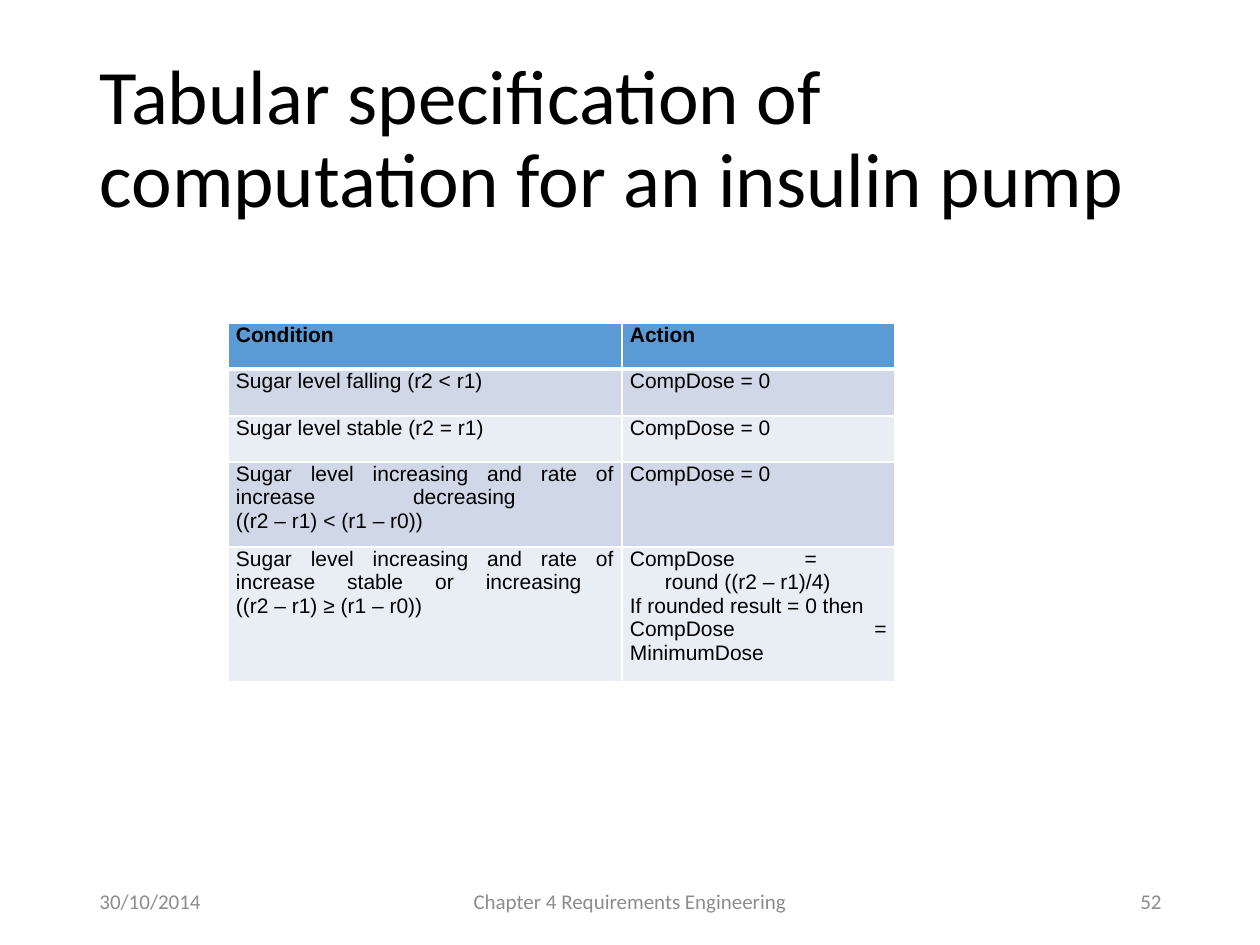
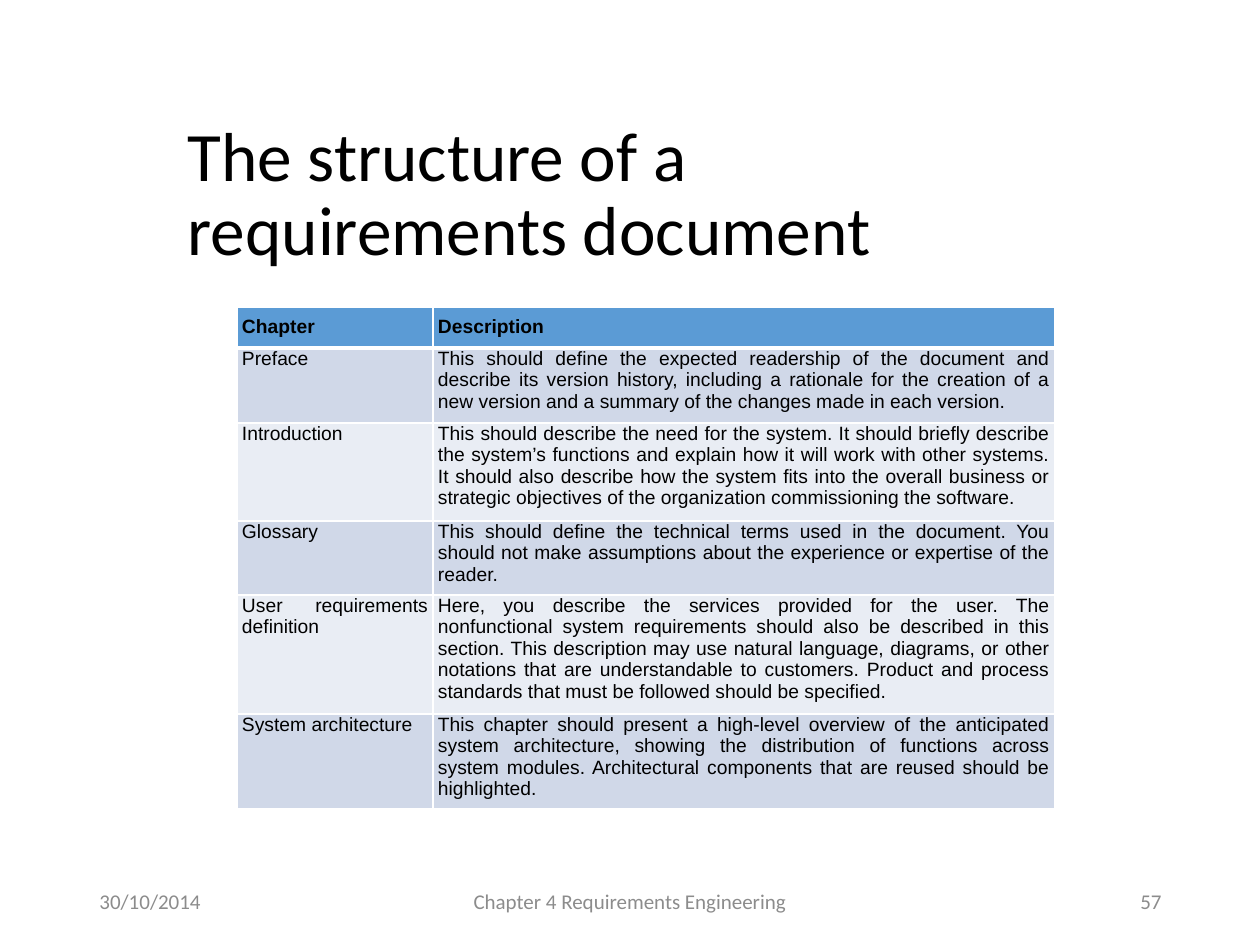
"""Build two lecture slides, each with a title, a banded table and a footer."""
from dataclasses import dataclass

from lxml import etree
from pptx import Presentation
from pptx import util as u
from pptx.dml.color import RGBColor
from pptx.enum import text
from pptx.oxml.ns import qn

PIXEL = u.Inches(1) / 126
TITLE_ONLY = 5
ALIGN = text.PP_ALIGN


@dataclass(frozen=True)
class Theme:
    """Colours, fonts and type sizes shared by the slides."""
    ink: str = "000000"
    muted: str = "8C8C8C"
    header: str = "5B9BD5"
    bands: tuple = ("D0D8E8", "E9EDF4")
    border: str = "FFFFFF"
    thin: float = 1
    thick: float = 3
    text_font: str = "Calibri"
    table_font: str = "Arial"
    footer_size: float = 12


THEME = Theme()


@dataclass(frozen=True)
class TableStyle:
    """Type size and cell insets, in pixels, of one table."""
    size: float
    side: int
    header_top: int
    bottom: int = 9


@dataclass(frozen=True)
class Hanging:
    """Paragraph whose lines after the first are indented, in pixels."""
    words: str
    indent: int


DOSE_HEADER = ("Condition", "Action")
DOSE_ROWS = [
    ("Sugar level falling (r2 < r1)", "CompDose = 0"),
    ("Sugar level stable (r2 = r1)", "CompDose = 0"),
    ("Sugar level increasing and rate of increase decreasing \n"
     "((r2 – r1) < (r1 – r0))", "CompDose = 0"),
    ("Sugar level increasing and rate of increase stable or increasing \n"
     "((r2 – r1) ≥ (r1 – r0))",
     [Hanging("CompDose = \nround ((r2 – r1)/4)", 35),
      "If rounded result = 0 then ",
      "CompDose = MinimumDose"]),
]

CHAPTER_HEADER = ("Chapter", "Description")
CHAPTER_ROWS = [
    ("Preface",
     "This should define the expected readership of the document and describe "
     "its version history, including a rationale for the creation of a new "
     "version and a summary of the changes made in each version. "),
    ("Introduction",
     "This should describe the need for the system. It should briefly describe "
     "the system’s functions and explain how it will work with other systems. "
     "It should also describe how the system fits into the overall business or "
     "strategic objectives of the organization commissioning the software."),
    ("Glossary",
     "This should define the technical terms used in the document. You should "
     "not make assumptions about the experience or expertise of the reader."),
    ("User requirements definition",
     "Here, you describe the services provided for the user. The nonfunctional "
     "system requirements should also be described in this section. This "
     "description may use natural language, diagrams, or other notations that "
     "are understandable to customers. Product and process standards that must "
     "be followed should be specified."),
    ("System architecture",
     "This chapter should present a high-level overview of the anticipated "
     "system architecture, showing the distribution of functions across system "
     "modules. Architectural components that are reused should be highlighted."),
]


def px(length):
    """Turn pixels into EMU."""
    return u.Emu(round(length * PIXEL))


def write(para, words, font, size, color, align=ALIGN.LEFT, bold=False):
    """Write words into a paragraph, one run for each line."""
    para.alignment = align
    for index, line in enumerate(words.split("\n")):
        if index:
            para.add_line_break()
        span = para.add_run()
        span.text = line
        span.font.name = font
        span.font.size = u.Pt(size)
        span.font.bold = bold
        span.font.color.rgb = RGBColor.from_string(color)


def prepare(frame):
    """Make a text frame wrap, keep its size and centre its text vertically."""
    frame.word_wrap = True
    frame.auto_size = text.MSO_AUTO_SIZE.NONE
    frame.vertical_anchor = text.MSO_ANCHOR.MIDDLE


def set_title(page, words, place, size):
    """Move the title placeholder and fill it."""
    box = page.shapes.title
    box.left, box.top, box.width, box.height = map(px, place)
    prepare(box.text_frame)
    para = box.text_frame.paragraphs[0]
    para.line_spacing = 0.9
    write(para, words, THEME.text_font, size, THEME.ink)


def add_footer(page, number):
    """Add the date, the chapter name and the page number."""
    parts = [
        ("30/10/2014", 87, 284, ALIGN.LEFT),
        ("Chapter 4 Requirements Engineering", 417, 426, ALIGN.CENTER),
        (str(number), 890, 284, ALIGN.RIGHT),
    ]
    for words, left, width, align in parts:
        box = page.shapes.add_textbox(px(left), px(876), px(width), px(50))
        prepare(box.text_frame)
        write(box.text_frame.paragraphs[0], words, THEME.text_font,
              THEME.footer_size, THEME.muted, align)


def set_borders(cell, top, bottom):
    """Draw the four borders of a cell; call it before filling the cell."""
    properties = cell._tc.get_or_add_tcPr()
    widths = {"lnL": THEME.thin, "lnR": THEME.thin, "lnT": top, "lnB": bottom}
    for side, width in widths.items():
        line = etree.SubElement(properties, qn(f"a:{side}"), w=str(u.Pt(width)))
        fill = etree.SubElement(line, qn("a:solidFill"))
        etree.SubElement(fill, qn("a:srgbClr"), val=THEME.border)


def fill_cell(cell, content, row, style):
    """Style a cell by its row and write its paragraphs."""
    header = row == 0
    cell.margin_left = cell.margin_right = px(style.side)
    cell.margin_top = px(style.header_top if header else 0)
    cell.margin_bottom = px(style.bottom)
    set_borders(cell, THEME.thick if row == 1 else THEME.thin,
                THEME.thick if header else THEME.thin)
    color = THEME.header if header else THEME.bands[(row - 1) % 2]
    cell.fill.solid()
    cell.fill.fore_color.rgb = RGBColor.from_string(color)

    items = content if isinstance(content, list) else [content]
    for index, item in enumerate(items):
        frame = cell.text_frame
        para = frame.add_paragraph() if index else frame.paragraphs[0]
        words = item
        if isinstance(item, Hanging):
            words = item.words
            properties = para._p.get_or_add_pPr()
            properties.set("marL", str(px(item.indent)))
            properties.set("indent", str(-px(item.indent)))
        write(para, words, THEME.table_font, style.size, THEME.ink,
              ALIGN.JUSTIFY, header)


def add_table(page, rows, left, top, widths, heights, style):
    """Add a table with a header row and banded body rows."""
    table = page.shapes.add_table(
        len(rows), len(widths), px(left), px(top),
        px(sum(widths)), px(sum(heights))).table
    for column, width in zip(table.columns, widths):
        column.width = px(width)
    for index, (contents, height) in enumerate(zip(rows, heights)):
        table.rows[index].height = px(height)
        for column, content in enumerate(contents):
            fill_cell(table.cell(index, column), content, index, style)


def add_page(deck, title, place, size, number):
    """Add a slide with its title and footer."""
    page = deck.slides.add_slide(deck.slide_layouts[TITLE_ONLY])
    set_title(page, title, place, size)
    add_footer(page, number)
    return page


def main():
    """Build and save the deck."""
    deck = Presentation()
    deck.slide_width, deck.slide_height = px(1260), px(945)

    page = add_page(
        deck, "Tabular specification of computation for an insulin pump ",
        (87, 50, 1086, 183), 44, 52)
    add_table(page, [DOSE_HEADER] + DOSE_ROWS, 228, 323, (394, 273),
              (46, 47, 46, 85, 135), TableStyle(12, side=8, header_top=0))

    page = add_page(
        deck, "The structure of a requirements document ",
        (175, 140, 761, 112), 39.6, 57)
    add_table(page, [CHAPTER_HEADER] + CHAPTER_ROWS, 237, 307, (196, 622),
              (41, 75, 98, 74, 119, 95), TableStyle(11, side=5, header_top=9))

    deck.save("out.pptx")


main()
